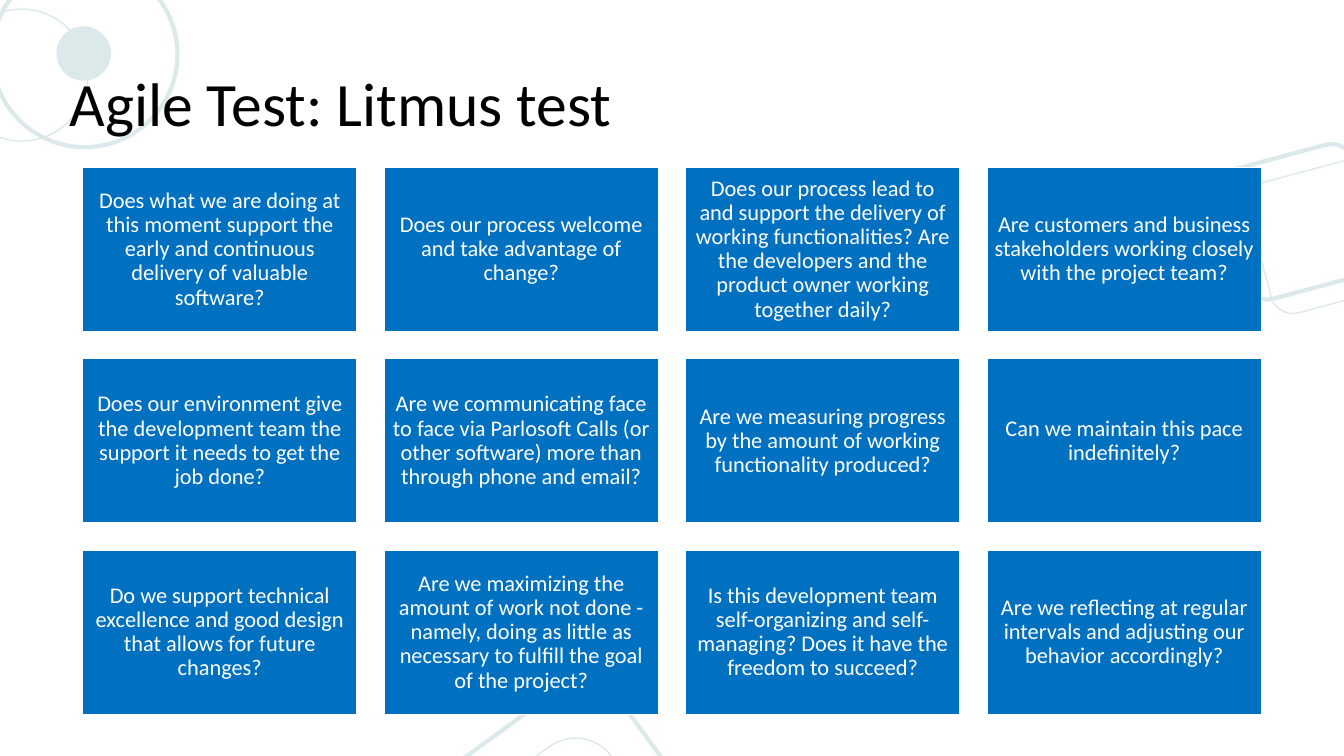
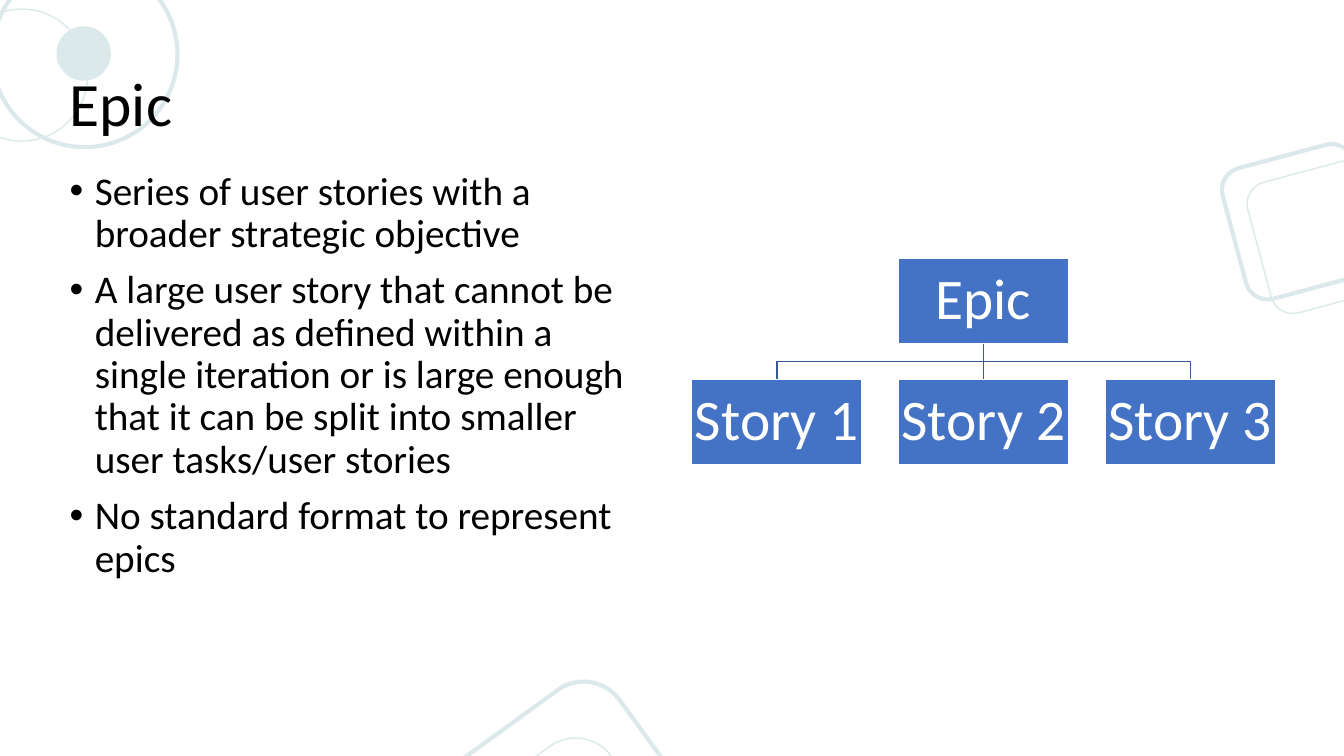
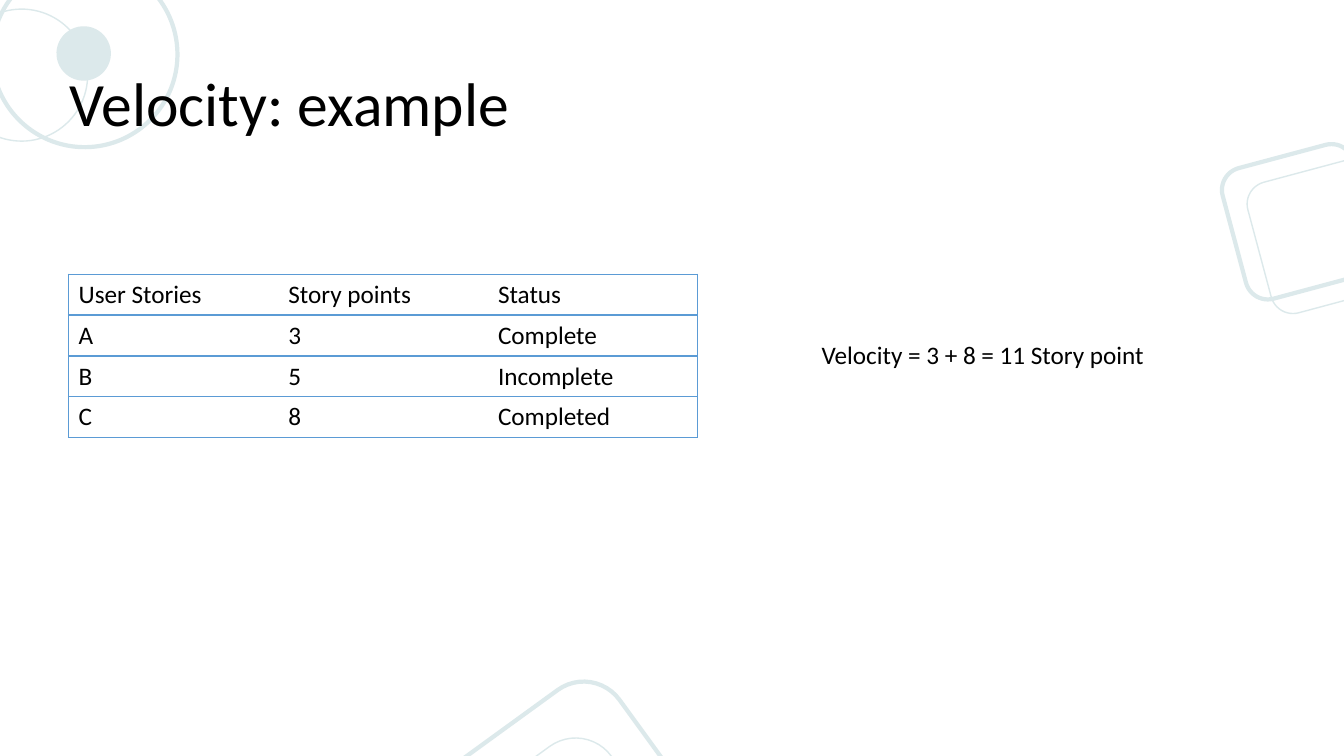
from lxml.etree import SubElement as Sub
from pptx import Presentation
from pptx.dml.color import RGBColor as Rgb
from pptx.enum.shapes import MSO_CONNECTOR as Conn, MSO_SHAPE as Kind
from pptx.enum.text import MSO_ANCHOR as Anchor, MSO_AUTO_SIZE as Auto, PP_ALIGN as Align
from pptx.oxml.ns import qn
from pptx.util import Inches, Pt

FONT = "Calibri"
HUES = {
    "ink": "000000",
    "white": "FFFFFF",
    "mist": "DCE9EB",
    "tile": "0070C0",
    "node": "4472C4",
    "link": "365B9D",
    "grid": "5B9BD5",
}
DECOR = [
    (Kind.OVAL, -0.44, 0.09, 1.31, 250.9, 1),
    (Kind.OVAL, 0.56, 0.26, 0.54, 250.9, None),
    (Kind.OVAL, -0.08, -0.38, 1.84, 250.9, 3),
    (Kind.ROUNDED_RECTANGLE, 4.28, 7.11, 2.63, 54, 3),
    (Kind.ROUNDED_RECTANGLE, 4.2, 7.67, 2.63, 54, 1),
    (Kind.ROUNDED_RECTANGLE, 12.22, 1.53, 1.34, 345, 3),
    (Kind.ROUNDED_RECTANGLE, 12.47, 1.67, 1.34, 345, 1),
]
TESTS = [
    "Does what we are doing at this moment support the early and continuous delivery of valuable software?",
    "Does our process welcome and take advantage of change?",
    "Does our process lead to and support the delivery of working functionalities? Are the developers and the product owner working together daily?",
    "Are customers and business stakeholders working closely with the project team?",
    "Does our environment give the development team the support it needs to get the job done?",
    "Are we communicating face to face via Parlosoft Calls (or other software) more than through phone and email?",
    "Are we measuring progress by the amount of working functionality produced?",
    "Can we maintain this pace indefinitely?",
    "Do we support technical excellence and good design that allows for future changes?",
    "Are we maximizing the amount of work not done - namely, doing as little as necessary to fulfill the goal of the project?",
    "Is this development team self-organizing and self-managing? Does it have the freedom to succeed?",
    "Are we reflecting at regular intervals and adjusting our behavior accordingly?",
]
POINTS = [
    "Series of user stories with a broader strategic objective",
    "A large user story that cannot be delivered as defined within a single iteration or is large enough that it can be split into smaller user tasks/user stories",
    "No standard format to represent epics",
]
STORIES = ["Story 1", "Story 2", "Story 3"]
ROWS = [
    ("User Stories", "Story points", "Status"),
    ("A", "3", "Complete"),
    ("B", "5", "Incomplete"),
    ("C", "8", "Completed"),
]
SUM = "Velocity = 3 + 8 = 11 Story point"


def hue(name):
    return Rgb.from_string(HUES[name])


def area(x, y, w, h):
    return [Inches(v) for v in (x, y, w, h)]


def place(shape, *box):
    shape.left, shape.top, shape.width, shape.height = area(*box)


def paint(fill, name):
    fill.solid()
    fill.fore_color.rgb = hue(name)


def stroke(shape, name, width=1):
    shape.line.color.rgb = hue(name)
    shape.line.width = Pt(width)


def style(para, size, name="ink", align=Align.LEFT, lead=None):
    para.alignment = align
    para.line_spacing = lead
    font = para.font
    font.name, font.size, font.color.rgb = FONT, Pt(size), hue(name)


def start(deck, layout, title):
    slide = deck.slides.add_slide(deck.slide_layouts[layout])
    head = slide.shapes.title
    place(head, 0.59, 0.47, 12.15, 1.18)
    frame = head.text_frame
    frame.text = title
    frame.auto_size = Auto.NONE
    frame.vertical_anchor = Anchor.MIDDLE
    style(frame.paragraphs[0], 44, lead=0.9)
    return slide


def adorn(deck, slide):
    tree = deck.slide_master.shapes.element
    for num, (kind, x, y, side, turn, width) in enumerate(DECOR, 101):
        art = slide.shapes.add_shape(kind, *area(x, y, side, side))
        art.shadow.inherit = False
        art.rotation = turn
        if width:
            art.fill.background()
            stroke(art, "mist", width)
        else:
            paint(art.fill, "mist")
            art.line.fill.background()
        art.element.nvSpPr.cNvPr.set("id", str(num))
        tree.append(art.element)


def panel(slide, text, box, fill, size, inset):
    shape = slide.shapes.add_shape(Kind.RECTANGLE, *area(*box))
    shape.shadow.inherit = False
    paint(shape.fill, fill)
    stroke(shape, "white")
    frame = shape.text_frame
    frame.text = text
    frame.word_wrap = True
    frame.vertical_anchor = Anchor.MIDDLE
    frame.margin_left = frame.margin_right = Inches(inset)
    frame.margin_top = frame.margin_bottom = Inches(inset)
    style(frame.paragraphs[0], size, "white", Align.CENTER, 0.9)
    return shape


def litmus(deck):
    slide = start(deck, 5, "Agile Test: Litmus test")
    adorn(deck, slide)
    for num, text in enumerate(TESTS):
        row, col = divmod(num, 4)
        box = (0.82 + 2.99 * col, 1.66 + 1.9 * row, 2.72, 1.63)
        panel(slide, text, box, "tile", 16, 0.07)


def bullets(body):
    place(body, 0.59, 1.65, 5.88, 4.7)
    frame = body.text_frame
    frame.text = "\n".join(POINTS)
    frame.auto_size = Auto.NONE
    for num, para in enumerate(frame.paragraphs):
        props = para._p.get_or_add_pPr()
        props.set("marL", str(Inches(0.25)))
        props.set("indent", str(Inches(-0.25)))
        Sub(props, qn("a:buChar")).set("char", "•")
        style(para, 28, lead=0.9)
        para.space_before = Pt(10 if num else 0)


def link(slide, top, leaf):
    x, y = top.left + top.width // 2, top.top + top.height
    end = leaf.left + leaf.width // 2
    if x == end:
        line = slide.shapes.add_connector(Conn.STRAIGHT, x, y, end, leaf.top)
        line.begin_connect(top, 2)
        line.end_connect(leaf, 0)
        stroke(line, "link")
        Sub(line.element.spPr, qn("a:effectLst"))
        return
    mid = (y + leaf.top) // 2
    pen = slide.shapes.build_freeform(x, y)
    pen.add_line_segments([(x, mid), (end, mid), (end, leaf.top)], close=False)
    line = pen.convert_to_shape()
    line.shadow.inherit = False
    line.fill.background()
    stroke(line, "link")


def epic(deck):
    slide = start(deck, 1, "Epic")
    bullets(slide.placeholders[1])
    top = panel(slide, "Epic", (8.91, 2.56, 1.69, 0.85), "node", 41, 0.03)
    for num, text in enumerate(STORIES):
        box = (6.86 + 2.05 * num, 3.76, 1.69, 0.85)
        link(slide, top, panel(slide, text, box, "node", 41, 0.03))


def edge(cell, side, show):
    line = Sub(cell._tc.get_or_add_tcPr(), qn("a:ln" + side))
    line.set("w", str(Pt(1)))
    if show:
        fill = Sub(line, qn("a:solidFill"))
        Sub(fill, qn("a:srgbClr")).set("val", HUES["grid"])
    else:
        Sub(line, qn("a:noFill"))


def velocity(deck):
    slide = start(deck, 5, "Velocity: example")
    wide = len(ROWS[0])
    table = slide.shapes.add_table(len(ROWS), wide, *area(0.68, 2.72, 6.24, 1.6)).table
    table.first_row = table.horz_banding = False
    for r, row in enumerate(ROWS):
        for c, text in enumerate(row):
            cell = table.cell(r, c)
            cell.text = text
            cell.vertical_anchor = Anchor.MIDDLE
            style(cell.text_frame.paragraphs[0], 18)
            shows = {"L": c == 0, "R": c == wide - 1, "T": True, "B": True}
            for side, show in shows.items():
                edge(cell, side, show)
            paint(cell.fill, "white")
    frame = slide.shapes.add_textbox(*area(8.05, 3.32, 3.89, 0.4)).text_frame
    frame.text = SUM
    frame.word_wrap = True
    frame.auto_size = Auto.SHAPE_TO_FIT_TEXT
    style(frame.paragraphs[0], 18)


def main():
    deck = Presentation()
    deck.slide_width, deck.slide_height = Inches(13.33), Inches(7.5)
    paint(deck.slide_master.background.fill, "white")
    for build in (litmus, epic, velocity):
        build(deck)
    deck.save("out.pptx")


if __name__ == "__main__":
    main()
